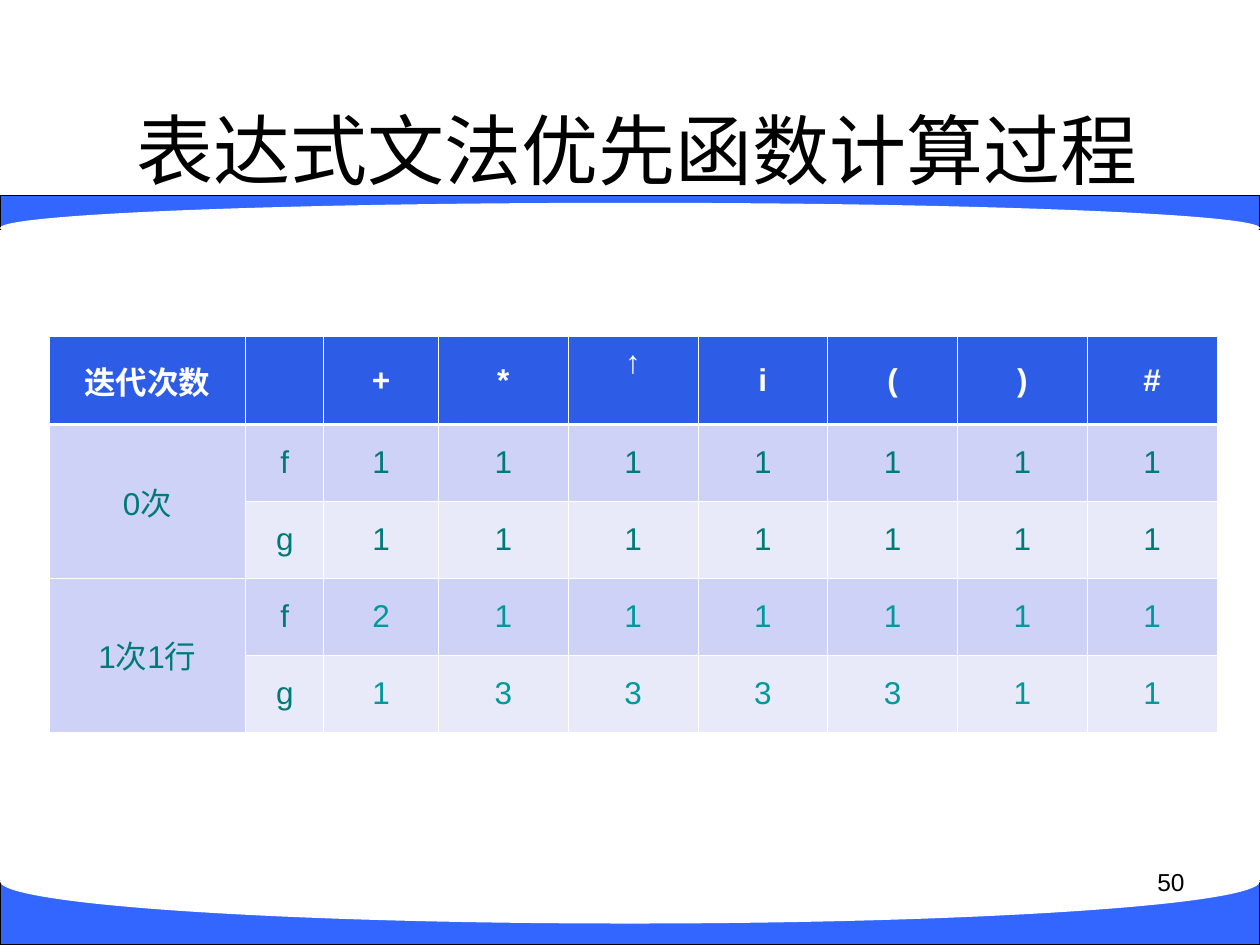
from lxml.etree import SubElement
from pptx import Presentation
from pptx.dml.color import RGBColor
from pptx.enum.shapes import MSO_SHAPE
from pptx.enum.text import MSO_ANCHOR, PP_ALIGN
from pptx.oxml.ns import qn
from pptx.util import Inches, Pt

# Content
TITLE = "表达式文法优先函数计算过程"
PAGE_NUMBER = "50"
HEADER = ["迭代次数", "", "+", "*", "↑", "i", "(", ")", "#"]
ITERATIONS = [
    ("0次", "007A77", {"f": "1111111", "g": "1111111"}),
    ("1次1行", "009999", {"f": "2111111", "g": "1333311"}),
]

# Layout and colours
COLUMN_WIDTHS = [1.56, 0.62, 0.91] + [1.03] * 6
ROW_HEIGHTS = [0.7] + [0.61] * 4
BLUE, WHITE, BLACK, LABEL = "3366FF", "FFFFFF", "000000", "007A77"
HEADER_FILL, ROW_FILLS = "2D5CE7", {"f": "CDD2F6", "g": "E8EAFA"}
BANDS = [  # rectangle top and height, then ellipse top and height
    (1.55, 0.27, 1.61, 0.4),
    (6.99, 0.51, 6.66, 0.67),
]


def color(value):
    return RGBColor.from_string(value)


def write(frame, text, size=18, fill=BLACK, bold=False, align=PP_ALIGN.CENTER):
    para = frame.paragraphs[0]
    para.alignment = align
    span = para.add_run()
    span.text = text
    span.font.name = "Arial"
    span.font.size = Pt(size)
    span.font.bold = bold
    span.font.color.rgb = color(fill)


def add_shape(page, kind, top, height, fill, line=None):
    shape = page.shapes.add_shape(kind, 0, Inches(top), Inches(10), Inches(height))
    shape.shadow.inherit = False
    shape.fill.solid()
    shape.fill.fore_color.rgb = color(fill)
    if line:
        shape.line.color.rgb = color(line)
        shape.line.width = Pt(0.75)
    else:
        shape.line.fill.background()


def style_cell(cell, fill, top=0.45, bottom=0.45):
    properties = cell._tc.get_or_add_tcPr()
    for side, width in (("L", 0.45), ("R", 0.45), ("T", top), ("B", bottom)):
        border = SubElement(properties, qn(f"a:ln{side}"), w=str(Pt(width)))
        paint = SubElement(border, qn("a:solidFill"))
        SubElement(paint, qn("a:srgbClr"), val=WHITE)
    cell.fill.solid()
    cell.fill.fore_color.rgb = color(fill)
    cell.vertical_anchor = MSO_ANCHOR.MIDDLE


def add_function_table(page):
    table = page.shapes.add_table(
        len(ROW_HEIGHTS), len(COLUMN_WIDTHS), Inches(0.39), Inches(2.67),
        Inches(sum(COLUMN_WIDTHS)), Inches(sum(ROW_HEIGHTS))).table
    for column, width in zip(table.columns, COLUMN_WIDTHS):
        column.width = Inches(width)
    for row, height in zip(table.rows, ROW_HEIGHTS):
        row.height = Inches(height)

    # Header row, with the arrow raised above the middle
    for column, text in enumerate(HEADER):
        cell = table.cell(0, column)
        style_cell(cell, HEADER_FILL, bottom=1.47)
        if text:
            write(cell.text_frame, text, fill=WHITE, bold=True)
        if text == "↑":
            cell.margin_bottom = Inches(0.33)

    # Two rows, f and g, for each iteration
    for index, (label, value_color, functions) in enumerate(ITERATIONS):
        first = 1 + 2 * index
        for row, (name, values) in enumerate(functions.items(), first):
            top = 1.47 if row == 1 else 0.45
            style_cell(table.cell(row, 0), ROW_FILLS["f"], top=top)
            for column, text in enumerate([name, *values], 1):
                cell = table.cell(row, column)
                style_cell(cell, ROW_FILLS[name], top=top)
                write(cell.text_frame, text, fill=LABEL if column == 1 else value_color)
        table.cell(first, 0).merge(table.cell(first + 1, 0))
        write(table.cell(first, 0).text_frame, label, fill=LABEL)


def main():
    deck = Presentation()
    deck.slide_width, deck.slide_height = Inches(10), Inches(7.5)
    page = deck.slides.add_slide(deck.slide_layouts[5])

    # Curved bands
    for band_top, band_height, curve_top, curve_height in BANDS:
        add_shape(page, MSO_SHAPE.RECTANGLE, band_top, band_height, BLUE, BLACK)
        add_shape(page, MSO_SHAPE.OVAL, curve_top, curve_height, WHITE)

    # Title, in front of the bands
    title = page.shapes.title
    title.left, title.top = Inches(0.39), Inches(0.73)
    title.width, title.height = Inches(9.34), Inches(0.9)
    title.text_frame.vertical_anchor = MSO_ANCHOR.MIDDLE
    write(title.text_frame, TITLE, size=44)
    page.shapes._spTree.append(title._element)

    # Page number
    box = page.shapes.add_textbox(Inches(7.17), Inches(6.83), Inches(2.33), Inches(0.52))
    box.text_frame.word_wrap = True
    write(box.text_frame, PAGE_NUMBER, size=14, align=PP_ALIGN.RIGHT)

    add_function_table(page)
    deck.save("out.pptx")


if __name__ == "__main__":
    main()
